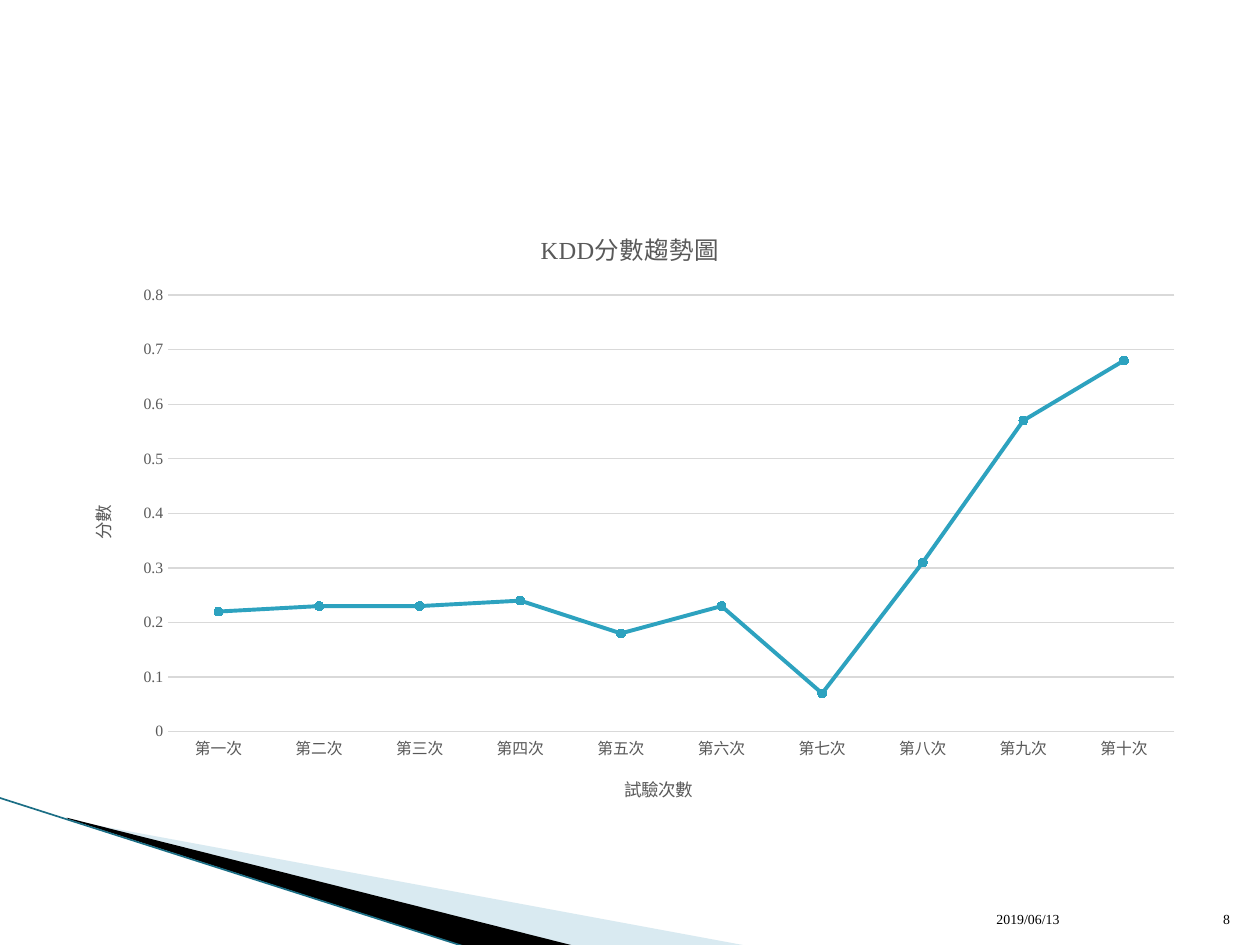
from lxml.etree import SubElement
from pptx import Presentation
from pptx.chart.data import CategoryChartData
from pptx.dml.color import RGBColor
from pptx.enum.chart import XL_CHART_TYPE, XL_MARKER_STYLE, XL_TICK_MARK
from pptx.enum.shapes import MSO_CONNECTOR
from pptx.enum.text import MSO_ANCHOR, PP_ALIGN
from pptx.oxml.ns import qn
from pptx.util import Inches, Pt

W, H = 10, 7.5
FONT = "Times New Roman"
GREY, GRID, TEAL = "595959", "D9D9D9", "2DA2BF"

TITLE = "KDD分數趨勢圖"
AXIS_TITLES = {"category_axis": "試驗次數", "value_axis": "分數"}
SCORES = {"一": 0.22, "二": 0.23, "三": 0.23, "四": 0.24, "五": 0.18,
          "六": 0.23, "七": 0.07, "八": 0.31, "九": 0.57, "十": 0.68}
CHART_BOX = (0.05 * W, 0.216 * H, 0.9 * W, 0.66 * H)

WEDGES = [
    ([(0.55, 6.51), (5.95, 7.51), (4.56, 7.51), (0.55, 6.5)], "A0CBDC", 40),
    ([(0.53, 6.49), (4.57, 7.51), (3.72, 7.52), (0.54, 6.5)], "000000", 100),
]
EDGE = (-0.01, 6.33, 3.71, 7.52)

FOOTER_TOP, FOOTER_H = 7.01, 0.4
FOOTERS = [("2019/06/13", 7.81, 1.41, PP_ALIGN.LEFT),
           ("8", 9.22, 0.64, PP_ALIGN.RIGHT)]


def rgb(code):
    return RGBColor.from_string(code)


def inches(values):
    return [Inches(v) for v in values]


def set_font(font, size, color):
    for name, value in {"name": FONT, "size": Pt(size), "bold": False}.items():
        setattr(font, name, value)
    font.color.rgb = rgb(color)


def set_line(line, color, width):
    line.color.rgb = rgb(color)
    line.width = Pt(width)


def set_title(owner, text, size):
    owner.has_title = True
    tf = (owner.chart_title if hasattr(owner, "chart_title") else owner.axis_title).text_frame
    tf.text = text
    set_font(tf.paragraphs[0].runs[0].font, size, GREY)


def add_wedge(s, points, color, alpha):
    points = [inches(point) for point in points]
    builder = s.shapes.build_freeform(*points[0])
    builder.add_line_segments(points[1:], close=True)
    sp = builder.convert_to_shape()
    sp.shadow.inherit = False
    sp.line.fill.background()
    sp.fill.solid()
    sp.fill.fore_color.rgb = rgb(color)
    if alpha < 100:
        clr = sp.fill._xPr.find(qn("a:solidFill"))[0]
        SubElement(clr, qn("a:alpha"), val=str(alpha * 1000))


def add_edge(s):
    line = s.shapes.add_connector(MSO_CONNECTOR.STRAIGHT, *inches(EDGE))
    set_line(line.line, "1B6E85", 0.95)
    SubElement(line._element.spPr, qn("a:effectLst"))


def add_footer(s, text, left, width, align):
    tf = s.shapes.add_textbox(*inches((left, FOOTER_TOP, width, FOOTER_H))).text_frame
    for name, value in {"word_wrap": True, "vertical_anchor": MSO_ANCHOR.BOTTOM}.items():
        setattr(tf, name, value)
    p = tf.paragraphs[0]
    p.alignment = align
    r = p.add_run()
    r.text = text
    set_font(r.font, 7.9, "000000")


def add_score_chart(s):
    data = CategoryChartData()
    data.categories = [f"第{n}次" for n in SCORES]
    data.add_series(TITLE, SCORES.values())
    chart = s.shapes.add_chart(XL_CHART_TYPE.LINE_MARKERS, *inches(CHART_BOX), data).chart
    chart.has_legend = False
    set_font(chart.font, 10, "000000")
    set_title(chart, TITLE, 14)

    for name, text in AXIS_TITLES.items():
        axis = getattr(chart, name)
        set_title(axis, text, 10)
        set_font(axis.tick_labels.font, 9, GREY)
        axis.major_tick_mark = axis.minor_tick_mark = XL_TICK_MARK.NONE
    set_line(chart.category_axis.format.line, GRID, 0.75)
    values = chart.value_axis
    for name, value in {"minimum_scale": 0, "maximum_scale": 0.8, "major_unit": 0.1}.items():
        setattr(values, name, value)
    values.format.line.fill.background()
    set_line(values.major_gridlines.format.line, GRID, 0.75)

    plot = chart.plots[0]
    plot.vary_by_categories = False
    series = plot.series[0]
    series.smooth = False
    set_line(series.format.line, TEAL, 2.25)
    marker = series.marker
    for name, value in {"style": XL_MARKER_STYLE.CIRCLE, "size": 5}.items():
        setattr(marker, name, value)
    marker.format.fill.solid()
    marker.format.fill.fore_color.rgb = rgb(TEAL)
    set_line(marker.format.line, TEAL, 0.75)


def main():
    prs = Presentation()
    prs.slide_width, prs.slide_height = inches((W, H))
    s = prs.slides.add_slide(prs.slide_layouts[6])
    for wedge in WEDGES:
        add_wedge(s, *wedge)
    add_edge(s)
    for footer in FOOTERS:
        add_footer(s, *footer)
    add_score_chart(s)
    prs.save("out.pptx")


if __name__ == "__main__":
    main()
